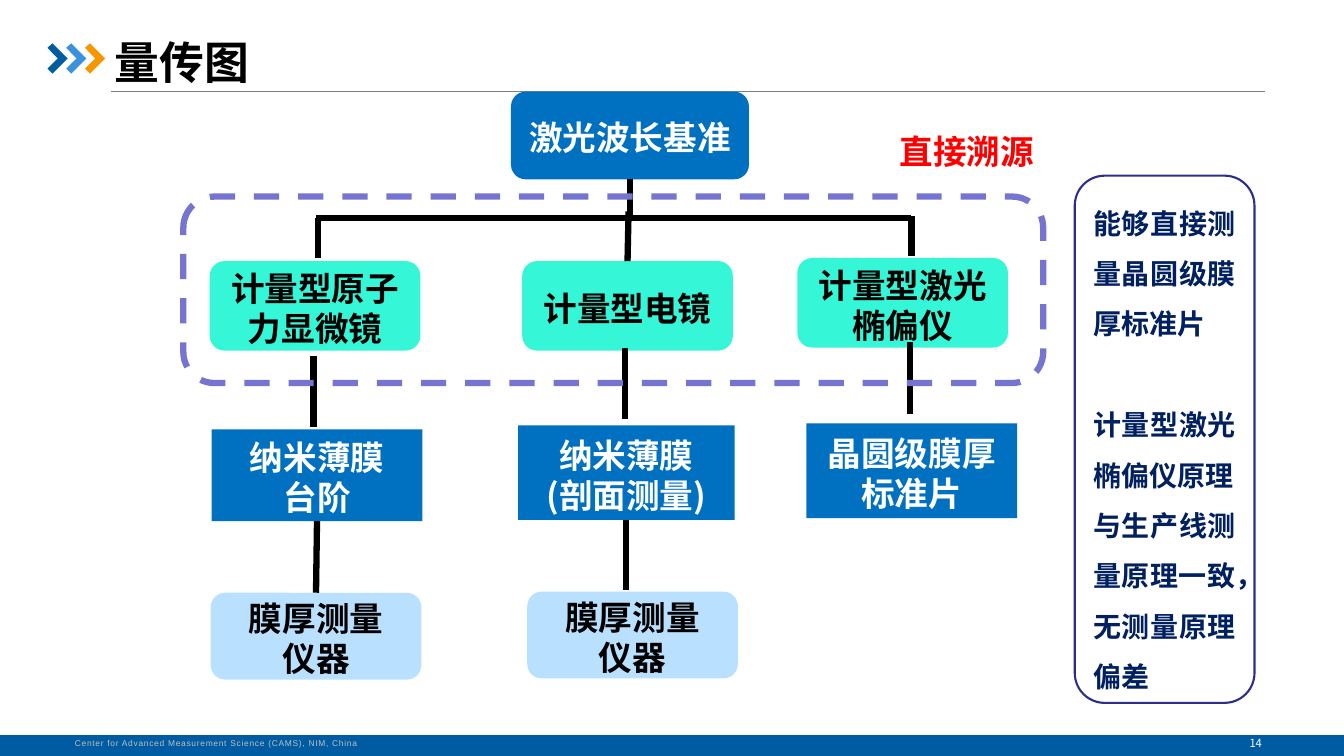
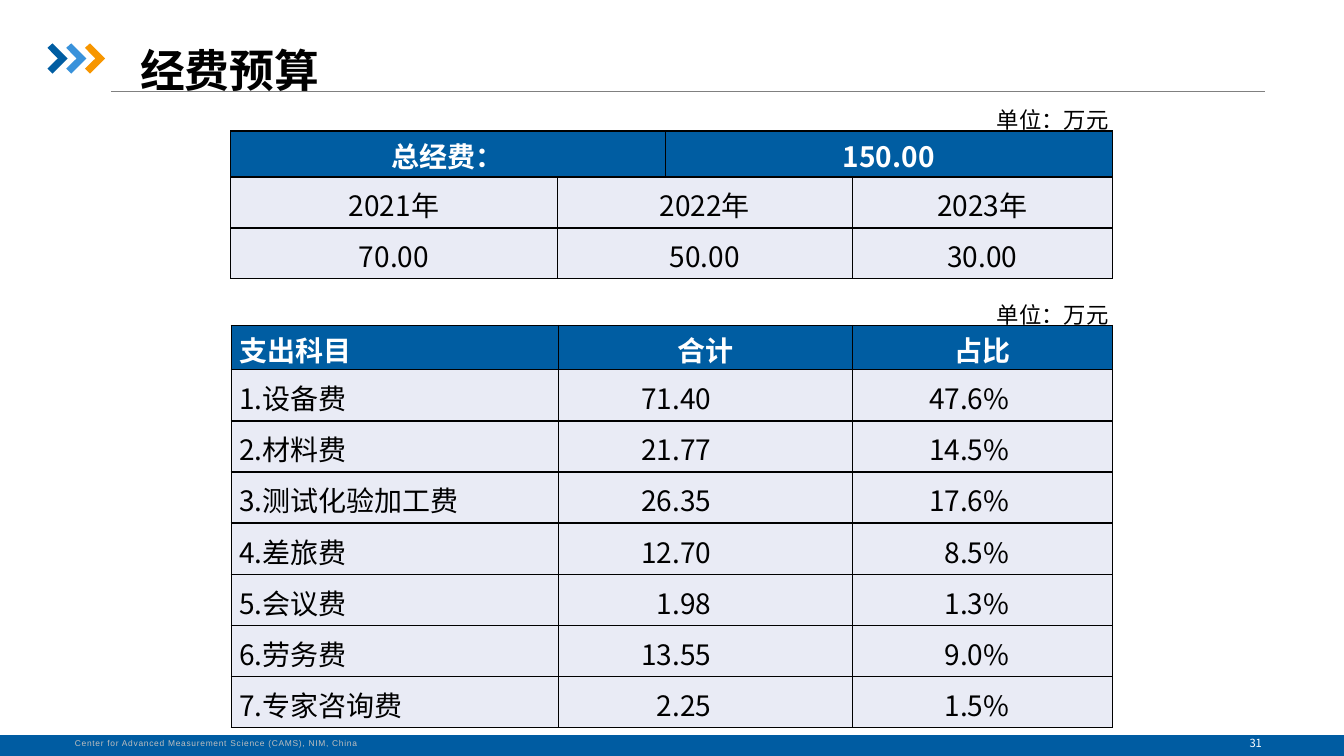
from lxml import etree
from pptx import Presentation
from pptx.dml.color import RGBColor
from pptx.enum.dml import MSO_LINE
from pptx.enum.shapes import MSO_CONNECTOR, MSO_SHAPE
from pptx.enum.text import MSO_ANCHOR, PP_ALIGN
from pptx.oxml.ns import qn
from pptx.util import Pt

LEFT, CENTER, RIGHT, JUSTIFY = PP_ALIGN.LEFT, PP_ALIGN.CENTER, PP_ALIGN.RIGHT, PP_ALIGN.JUSTIFY
MIDDLE = MSO_ANCHOR.MIDDLE
RECT, ROUND = MSO_SHAPE.RECTANGLE, MSO_SHAPE.ROUNDED_RECTANGLE
STRAIGHT = MSO_CONNECTOR.STRAIGHT
DASH = MSO_LINE.DASH

FONT, FOOTER_FONT = "Noto Sans CJK SC", "Arial"
BLACK, WHITE = RGBColor(0, 0, 0), RGBColor(255, 255, 255)
DEEP_BLUE, BAR_BLUE = RGBColor(0x00, 0x5D, 0xA2), RGBColor(0x00, 0x5C, 0xA2)
SKY, ORANGE = RGBColor(0x39, 0x92, 0xDB), RGBColor(0xF7, 0x96, 0x00)
BLUE, MINT, PALE = RGBColor(0x00, 0x70, 0xC0), RGBColor(0x35, 0xF7, 0xD7), RGBColor(0xB9, 0xE1, 0xFF)
RED, NAVY = RGBColor(0xFF, 0, 0), RGBColor(0x00, 0x20, 0x60)
VIOLET, INDIGO = RGBColor(0x75, 0x75, 0xD1), RGBColor(0x2D, 0x2D, 0x8A)
GRAY, LIGHT_GRAY, ROW_FILL = RGBColor(128, 128, 128), RGBColor(0xBF, 0xBF, 0xBF), RGBColor(0xE9, 0xEB, 0xF5)

# Content: lengths in points, areas as left, top, width, height
FOOTER = "Center for Advanced Measurement Science (CAMS), NIM, China"
CHEVRON = [(0, 3.2), (3.6, 0), (14.4, 10.8), (3.6, 21.6), (0, 18), (7.4, 10.8)]

NODE_STYLES = {  # outline, fill, text colour
    "standard": (ROUND, BLUE, WHITE),
    "instrument": (ROUND, MINT, BLACK),
    "sample": (RECT, BLUE, WHITE),
    "user": (ROUND, PALE, BLACK),
}
NODES = {
    "laser": ("standard", ["激光波长基准"], (365, 65.5, 170, 62.6)),
    "afm": ("instrument", ["计量型原子力显微镜"], (149.8, 186.5, 150.5, 64)),
    "sem": ("instrument", ["计量型电镜"], (373, 186.5, 150.5, 64)),
    "ellipsometer": ("instrument", ["计量型激光", "椭偏仪"], (569.5, 184.3, 150.5, 64)),
    "step": ("sample", ["纳米薄膜", "台阶"], (151.2, 306.7, 150.5, 65.5)),
    "section": ("sample", ["纳米薄膜", "(剖面测量)"], (370, 303.8, 154.8, 67.7)),
    "wafer": ("sample", ["晶圆级膜厚标准片"], (576, 302.4, 150.5, 67.7)),
    "step user": ("user", ["膜厚测量", "仪器"], (150.5, 423.4, 150.5, 62)),
    "section user": ("user", ["膜厚测量", "仪器"], (376.6, 422.6, 150.5, 62)),
}
# Each end is a point, or a node name with its connection site
LINKS = [
    (("laser", 2), (450, 157.5)),
    ((225.5, 155.5), (651, 155.5)),
    ((227, 155.5), (227, 184.3)),
    ((449, 151), ("sem", 0)),
    ((651, 154.5), (651, 183)),
    ((224, 254), (224, 304.8)),
    ((446.4, 248.5), (446.4, 299.3)),
    ((650, 244.5), (650, 295.6)),
    (("step", 2), ("step user", 0)),
    (("section", 2), (447.4, 421.2)),
]
SIDE_NOTES = ["能够直接测量晶圆级膜厚标准片", "计量型激光椭偏仪原理", "与生产线测量原理一致，无测量原理偏差"]

UNIT = "单位：万元"
TOTAL_ROWS = [
    ["总经费：", None, "150.00", None],
    ["2021年", "2022年", None, "2023年"],
    ["70.00", "50.00", None, "30.00"],
]
EXPENSE_ROWS = [
    ["支出科目", "合计", "占比"],
    ["1.设备费", "71.40", "47.6%"],
    ["2.材料费", "21.77", "14.5%"],
    ["3.测试化验加工费", "26.35", "17.6%"],
    ["4.差旅费", "12.70", "8.5%"],
    ["5.会议费", "1.98", "1.3%"],
    ["6.劳务费", "13.55", "9.0%"],
    ["7.专家咨询费", "2.25", "1.5%"],
]


def write(frame, lines, size=24, color=BLACK, bold=False, align=LEFT, font=FONT,
          line=None, gaps=None, tracking=0):
    """Fill a text frame; line is the line pitch, gaps maps paragraph to space before."""
    frame.word_wrap = True
    for index, text in enumerate(lines):
        para = frame.paragraphs[0] if index == 0 else frame.add_paragraph()
        para.alignment = align
        if line:
            para.line_spacing = Pt(line)
        if gaps and index in gaps:
            para.space_before = Pt(gaps[index])
        span = para.add_run()
        span.text = text
        span.font.size, span.font.bold, span.font.name = Pt(size), bold, font
        span.font.color.rgb = color
        props = span.font._element
        etree.SubElement(props, qn("a:ea")).set("typeface", font)
        if tracking:
            props.set("spc", str(tracking))


def add_label(page, text, area, wrap=True, **style):
    box = page.shapes.add_textbox(*map(Pt, area))
    frame = box.text_frame
    frame.vertical_anchor = MIDDLE
    frame.margin_top, frame.margin_bottom = Pt(3), Pt(0)
    write(frame, [text], **style)
    frame.word_wrap = wrap


def paint(shape, fill=None, outline=None, width=1):
    shape.shadow.inherit = False
    if fill is None:
        shape.fill.background()
    else:
        shape.fill.solid()
        shape.fill.fore_color.rgb = fill
    if outline is None:
        shape.line.fill.background()
    else:
        shape.line.color.rgb = outline
        shape.line.width = Pt(width)


def add_box(page, kind, area, lines=(), fill=None, outline=None, width=1, **style):
    box = page.shapes.add_shape(kind, *map(Pt, area))
    paint(box, fill, outline, width)
    frame = box.text_frame
    frame.vertical_anchor = MIDDLE
    frame.margin_top, frame.margin_bottom = Pt(3), Pt(0)
    write(frame, lines, **style)
    return box


def add_line(page, start, end, color, width):
    link = page.shapes.add_connector(STRAIGHT, *map(Pt, (*start, *end)))
    link.line.color.rgb = color
    link.line.width = Pt(width)
    etree.SubElement(link._element.spPr, qn("a:effectLst"))
    return link


def add_page(deck, title, title_area, number):
    """Start a slide with the shared heading rule, chevrons and footer band."""
    page = deck.slides.add_slide(deck.slide_layouts[6])
    add_line(page, (79.2, 65.5), (903.6, 65.5), GRAY, 0.75)
    for index, color in enumerate((DEEP_BLUE, SKY, ORANGE)):
        points = [(Pt(33.9 + 13.4 * index + x), Pt(31 + y)) for x, y in CHEVRON]
        builder = page.shapes.build_freeform(*points[0], scale=1)
        builder.add_line_segments(points[1:], close=True)
        paint(builder.convert_to_shape(), color)
    add_box(page, RECT, (0, 525, 960, 15), fill=BAR_BLUE)
    add_label(page, FOOTER, (46.4, 522, 220, 15), wrap=False, size=6, color=LIGHT_GRAY,
              font=FOOTER_FONT, tracking=50)
    add_label(page, number, (862, 521, 70, 17), size=8, color=WHITE, align=CENTER)
    add_label(page, title, title_area, size=32, bold=True, line=38)
    return page


def end_point(end):
    if end[0] not in NODES:
        return end
    left, top, width, height = NODES[end[0]][2]
    return left + width / 2, top + (height if end[1] == 2 else 0)


def add_trace_page(deck):
    page = add_page(deck, "量传图", (75, 19.5, 217, 46), "14")
    boxes = {}
    for name, (style, lines, area) in NODES.items():
        kind, fill, color = NODE_STYLES[style]
        boxes[name] = add_box(page, kind, area, lines, fill=fill, color=color, bold=True,
                              align=CENTER, line=28.6)
    for start, end in LINKS:
        link = add_line(page, end_point(start), end_point(end), BLACK, 4.5)
        if start[0] in boxes:
            link.begin_connect(boxes[start[0]], start[1])
        if end[0] in boxes:
            link.end_connect(boxes[end[0]], end[1])
    # Directly traceable instruments
    frame = add_box(page, ROUND, (131, 140.4, 614.2, 133.2), outline=VIOLET, width=4.5)
    frame.line.dash_style = DASH
    add_label(page, "直接溯源", (635.6, 88.5, 112.5, 36), wrap=False, color=RED, bold=True,
              line=28.6)
    add_box(page, ROUND, (767.7, 125.5, 128.4, 376.6), SIDE_NOTES, outline=INDIGO, width=1.5,
            size=20, color=NAVY, bold=True, align=JUSTIFY, line=36, gaps={1: 36})


def set_borders(cell):
    props = cell._tc.get_or_add_tcPr()
    for index, side in enumerate(("lnL", "lnR", "lnT", "lnB")):
        border = etree.Element(qn("a:" + side), w=str(Pt(1)))
        fill = etree.SubElement(border, qn("a:solidFill"))
        etree.SubElement(fill, qn("a:srgbClr")).set("val", str(BLACK))
        props.insert(index, border)


def add_grid(page, rows, left, top, widths, head_height, row_height, aligns, insets):
    """Draw a table; None continues the cell on its left."""
    heights = [head_height] + [row_height] * (len(rows) - 1)
    table = page.shapes.add_table(len(rows), len(widths), Pt(left), Pt(top),
                                  Pt(sum(widths)), Pt(sum(heights))).table
    for column, width in zip(table.columns, widths):
        column.width = Pt(width)
    for r, texts in enumerate(rows):
        table.rows[r].height = Pt(heights[r])
        head = r == 0
        for c, text in enumerate(texts):
            cell = table.cell(r, c)
            cell.fill.solid()
            cell.fill.fore_color.rgb = DEEP_BLUE if head else ROW_FILL
            set_borders(cell)
            if text is None:
                table.cell(r, c - 1).merge(cell)
                continue
            cell.vertical_anchor = MIDDLE
            cell.margin_left = Pt(5.8)
            cell.margin_right = Pt(5.8 if head else insets[c])
            cell.margin_top, cell.margin_bottom = (Pt(2), Pt(0)) if head else (Pt(5), Pt(2))
            align = CENTER if head and aligns[c] == RIGHT else aligns[c]
            write(cell.text_frame, [text], size=20, color=WHITE if head else BLACK,
                  bold=head, align=align)


def add_budget_page(deck):
    page = add_page(deck, "经费预算", (93, 25.5, 333, 46), "31")
    add_grid(page, TOTAL_ROWS, 164.8, 93.6, (233.3, 77, 133.8, 185.8), 32.8, 36.4,
             [CENTER] * 4, [5.8] * 4)
    add_grid(page, EXPENSE_ROWS, 165.2, 232.5, (233.5, 210, 185.8), 31.7, 36.5,
             [LEFT, RIGHT, RIGHT], [5.8, 100.5, 73.5])
    for top in (72, 211.5):
        add_label(page, UNIT, (705, top, 112, 24), wrap=False, size=16)


def main():
    deck = Presentation()
    deck.slide_width, deck.slide_height = Pt(960), Pt(540)
    add_trace_page(deck)
    add_budget_page(deck)
    deck.save("out.pptx")


if __name__ == "__main__":
    main()
